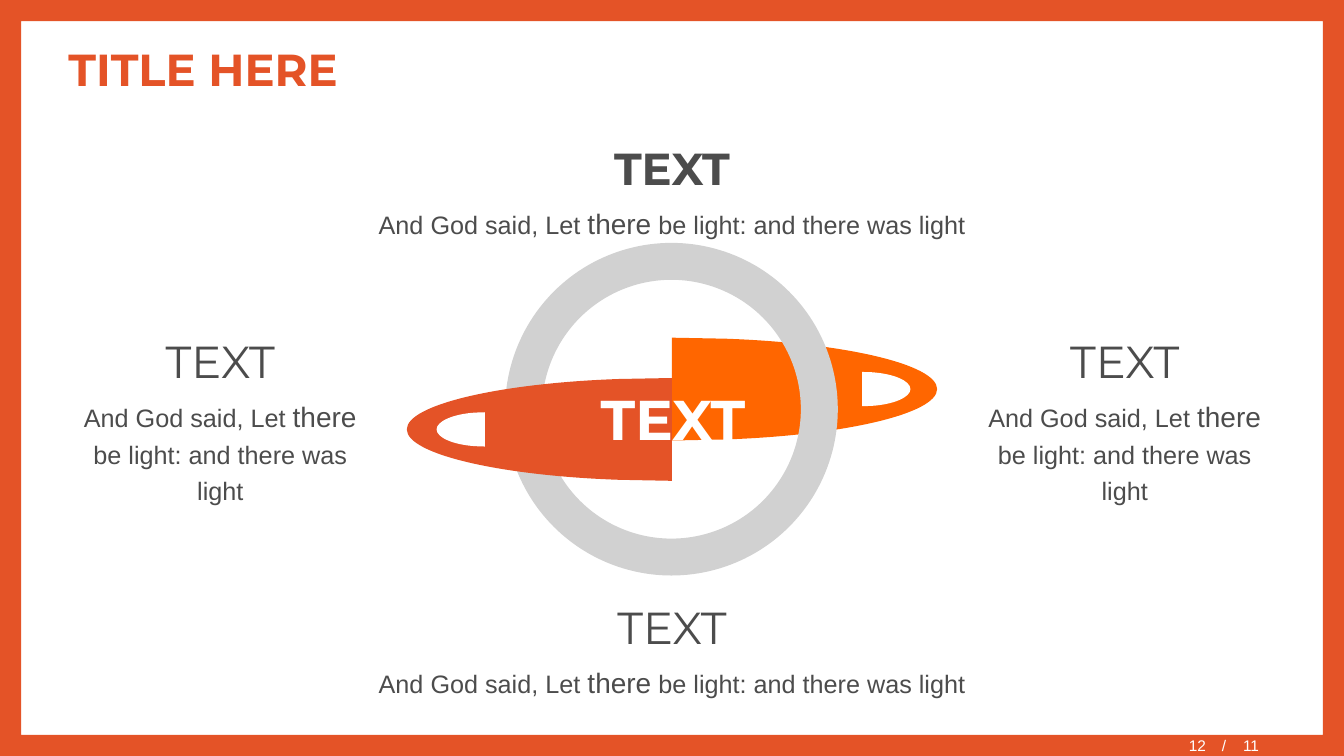
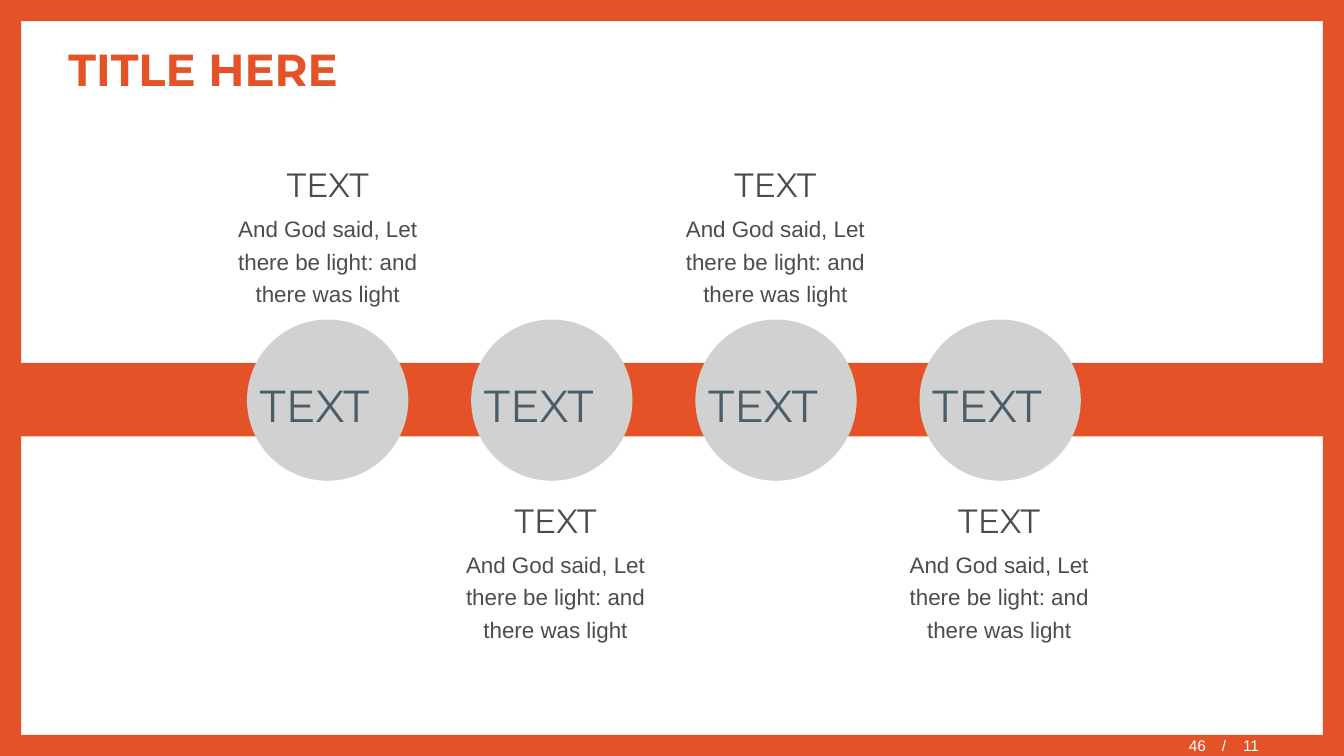
"""Build two framed slides: a ring crossed by two needles, and a band of circles."""
from lxml.etree import SubElement
from pptx import Presentation
from pptx.dml.color import RGBColor
from pptx.enum.shapes import MSO_SHAPE
from pptx.enum.text import MSO_ANCHOR, MSO_AUTO_SIZE, PP_ALIGN
from pptx.oxml.ns import qn
from pptx.util import Inches, Pt

RED, ORANGE, GREY, WHITE = "E45327", "FF6600", "D1D1D1", "FFFFFF"
INK, SLATE = "4C4C4C", "4A5D69"
HEAD_FONT, BODY_FONT = "Montserrat", "Arial"
WIDTH, HEIGHT = 13.33, 7.5
TITLE, HEADING, PAGE_TOTAL = "TITLE HERE", "TEXT", "11"

VERSE = [("And God said, Let ", 18), ("there", 20), (" be light: and there was light", 18)]
SHORT_VERSE = [("And God said, Let there be light: and there was light", 16)]

RING_CAPTIONS = [
    ((3.61, 1.24, 6.11, 1.21), True),
    ((3.61, 5.79, 6.11, 1.21), False),
    ((0.57, 3.15, 3.23, 1.93), False),
    ((9.54, 3.15, 3.23, 1.93), False),
]
NEEDLE_SIZE, EYE_SIZE = (2.63, 0.51), (0.48, 0.17)
RIGHT, LEFT = 1, -1
RIGHT_Y, LEFT_Y = 3.86, 4.26
EYES = [(4.81, LEFT_Y, LEFT), (8.55, RIGHT_Y, RIGHT)]

NEEDLE_CORNERS = [(0, -1), (0, 1), (0.2, 0.98), (1, 0), (0.2, -0.98)]
NEEDLE_HANDLES = [[(0.65, 0.9), (1, 0.48)], [(1, -0.48), (0.65, -0.9)]]

CIRCLE_LEFT, CIRCLE_TOP, CIRCLE_SIZE, CIRCLE_PITCH = 2.45, 3.17, 1.6, 6.67 / 3
ABOVE, BELOW = 1.5, 4.83
BAND_CAPTIONS = [(2.2, ABOVE), (4.46, BELOW), (6.64, ABOVE), (8.86, BELOW)]


def rgb(color):
    """Turn a hex string into a colour."""
    return RGBColor.from_string(color)


def paint(shape, color):
    """Give a shape a flat fill with no line or shadow."""
    shape.shadow.inherit = False
    shape.fill.solid()
    shape.fill.fore_color.rgb = rgb(color)
    shape.line.fill.background()


def add_figure(page, kind, place, color):
    """Add a plain preset shape."""
    figure = page.shapes.add_shape(kind, *map(Inches, place))
    paint(figure, color)
    return figure


def add_half_ellipse(page, x, y, size, side, color):
    """Add half an ellipse whose flat edge stands at x and bulges to one side."""

    def locate(point):
        return Inches(x + side * size[0] * point[0]), Inches(y + size[1] * point[1])

    corners = [locate(point) for point in NEEDLE_CORNERS]
    builder = page.shapes.build_freeform(*corners[0])
    builder.add_line_segments(corners[1:], close=True)
    half = builder.convert_to_shape()
    paint(half, color)
    segments = list(half._element.iter(qn("a:lnTo")))
    for segment, handles in zip(segments[2:4], NEEDLE_HANDLES):
        curve = SubElement(segment.getparent(), qn("a:cubicBezTo"))
        for handle in handles:
            handle_x, handle_y = locate(handle)
            SubElement(curve, qn("a:pt"), x=str(handle_x - half.left), y=str(handle_y - half.top))
        curve.append(segment[0])
        segment.getparent().replace(segment, curve)


def add_box(page, place, anchor=MSO_ANCHOR.TOP):
    """Add a wrapping text box and return its frame."""
    frame = page.shapes.add_textbox(*map(Inches, place)).text_frame
    frame.word_wrap = True
    frame.vertical_anchor = anchor
    return frame


def add_span(para, text, size, color, font=BODY_FONT, bold=False):
    """Add one run."""
    span = para.add_run()
    span.text = text
    span.font.size = Pt(size)
    span.font.name = font
    span.font.bold = bold
    span.font.color.rgb = rgb(color)


def space_para(para, align=PP_ALIGN.CENTER):
    """Apply the spacing of body paragraphs."""
    para.alignment = align
    para.line_spacing = 1.2
    para.space_before = para.space_after = Pt(2)


def add_label(page, place, size, color, bold=False, align=PP_ALIGN.CENTER, wrap=False):
    """Add a heading in a growing box and return the frame."""
    frame = add_box(page, place)
    frame.word_wrap = wrap
    frame.auto_size = MSO_AUTO_SIZE.SHAPE_TO_FIT_TEXT
    para = frame.paragraphs[0]
    space_para(para, align)
    add_span(para, HEADING, size, color, HEAD_FONT, bold)
    return frame


def add_caption(page, place, size, verse, bold=False):
    """Add a heading with a verse below it."""
    para = add_label(page, place, size, INK, bold, wrap=True).add_paragraph()
    space_para(para)
    for text, verse_size in verse:
        add_span(para, text, verse_size, INK)


def add_page(deck):
    """Add a blank page with the border."""
    page = deck.slides.add_slide(deck.slide_layouts[6])
    border = add_figure(page, MSO_SHAPE.FRAME, (0, 0, WIDTH, HEIGHT), RED)
    border.adjustments[0] = 0.028
    return page


def add_title(page):
    """Add the page title."""
    title = add_box(page, (0.58, 0.29, 12.18, 0.79), MSO_ANCHOR.MIDDLE)
    add_span(title.paragraphs[0], TITLE, 32, RED, HEAD_FONT, True)


def add_footer(page, number):
    """Add the page total and page number."""
    total = add_box(page, (12.02, 7.3, 1.31, 0.18), MSO_ANCHOR.MIDDLE).paragraphs[0]
    add_span(total, "/\t" + PAGE_TOTAL, 11, WHITE)
    tabs = SubElement(total._p.get_or_add_pPr(), qn("a:tabLst"))
    SubElement(tabs, qn("a:tab"), pos=str(Inches(0.21)), algn="l")

    frame = add_box(page, (9.47, 7.33, 2.59, 0.18), MSO_ANCHOR.MIDDLE)
    frame.margin_top = 0
    frame.paragraphs[0].alignment = PP_ALIGN.RIGHT
    add_span(frame.paragraphs[0], number, 11, WHITE)


def add_ring_page(deck):
    """Add the ring threaded by two needles."""
    page = add_page(deck)
    add_half_ellipse(page, WIDTH / 2, RIGHT_Y, NEEDLE_SIZE, RIGHT, ORANGE)
    add_title(page)
    ring = add_figure(page, MSO_SHAPE.DONUT, (5.01, 2.41, 3.3, 3.3), GREY)
    ring.adjustments[0] = 0.111
    add_half_ellipse(page, WIDTH / 2, LEFT_Y, NEEDLE_SIZE, LEFT, RED)
    add_label(page, (5.75, 3.63, 1.85, 0.91), 40, WHITE, bold=True)
    for place, bold in RING_CAPTIONS:
        add_caption(page, place, 32, VERSE, bold)
    for x, y, side in EYES:
        add_half_ellipse(page, x, y, EYE_SIZE, side, WHITE)
    add_footer(page, "12")


def add_band_page(deck):
    """Add the band with circles and alternating captions."""
    page = add_page(deck)
    add_figure(page, MSO_SHAPE.RECTANGLE, (0.01, 3.6, 13.32, 0.73), RED)
    add_title(page)
    for index, (caption_left, caption_top) in enumerate(BAND_CAPTIONS):
        left = CIRCLE_LEFT + index * CIRCLE_PITCH
        add_figure(page, MSO_SHAPE.OVAL, (left, CIRCLE_TOP, CIRCLE_SIZE, CIRCLE_SIZE), GREY)
        add_label(page, (left + 0.03, 3.59, 1.52, 0.75), 32, SLATE, align=PP_ALIGN.LEFT)
        add_caption(page, (caption_left, caption_top, 2.1, 1.61), 24, SHORT_VERSE)
    add_footer(page, "46")


def main():
    """Build and save the deck."""
    deck = Presentation()
    deck.slide_width, deck.slide_height = Inches(WIDTH), Inches(HEIGHT)
    add_ring_page(deck)
    add_band_page(deck)
    deck.save("out.pptx")


if __name__ == "__main__":
    main()
